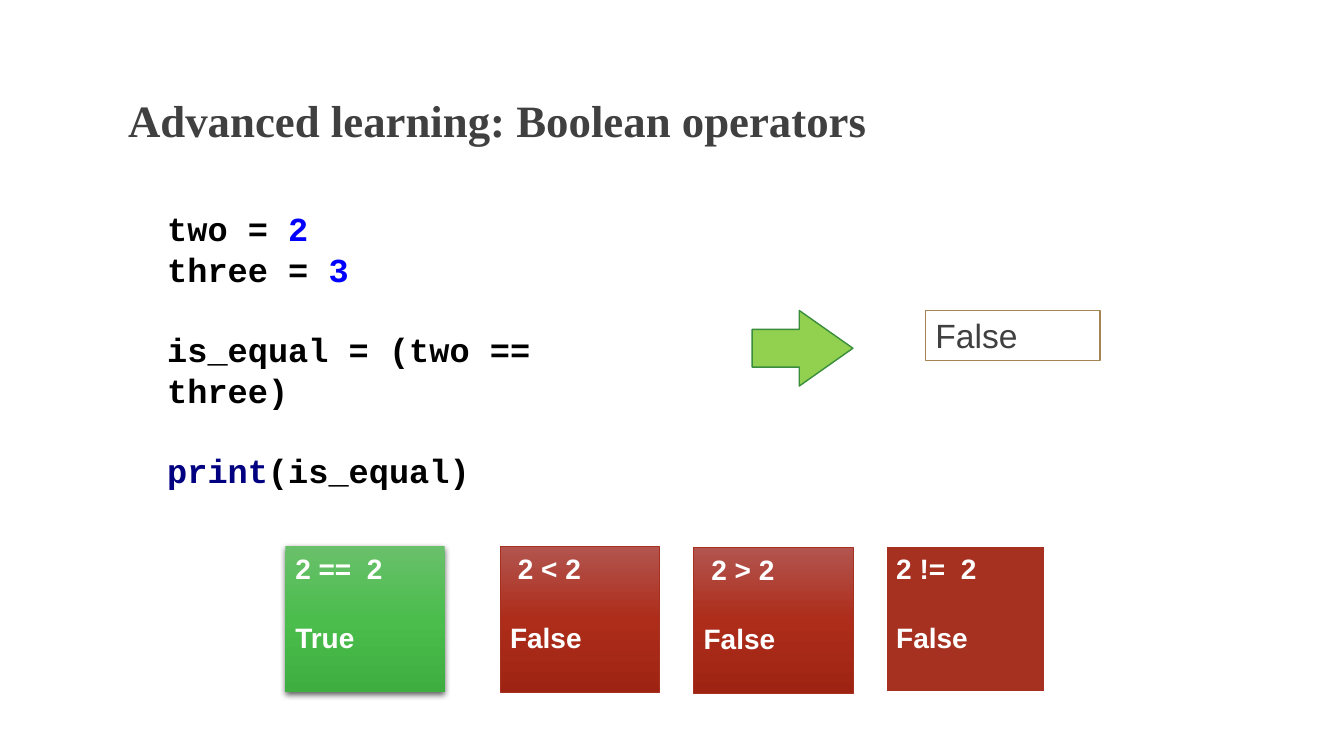
from copy import deepcopy
from pptx import Presentation
from pptx.dml.color import RGBColor
from pptx.enum.shapes import MSO_SHAPE
from pptx.enum.text import MSO_ANCHOR, MSO_AUTO_SIZE, PP_ALIGN
from pptx.oxml import parse_xml
from pptx.oxml.ns import nsdecls
from pptx.util import Inches, Pt

WHITE = RGBColor(0xFF, 0xFF, 0xFF)
BLACK = RGBColor(0x00, 0x00, 0x00)
GRAY = RGBColor(0x40, 0x40, 0x40)
TAN = RGBColor(0xA6, 0x85, 0x55)
LIME = RGBColor(0x92, 0xD0, 0x50)
GREEN = RGBColor(0x39, 0x8D, 0x3B)
RED = RGBColor(0xA6, 0x31, 0x21)
BLUE = RGBColor(0x00, 0x00, 0xFF)
NAVY = RGBColor(0x00, 0x00, 0x80)
GREENS = [RGBColor(0x69, 0xC0, 0x6A), RGBColor(0x4B, 0xBD, 0x4D), RGBColor(0x3D, 0xAE, 0x3F)]
REDS = [RGBColor(0xB2, 0x55, 0x4F), RGBColor(0xAD, 0x2C, 0x1A), RGBColor(0x9F, 0x23, 0x12)]

SHADOW = (
    f'<a:outerShdw {nsdecls("a")} blurRad="57150" dist="19050" dir="5400000" algn="ctr" rotWithShape="0">'
    '<a:srgbClr val="000000"><a:alpha val="63000"/></a:srgbClr></a:outerShdw>'
)


def add_run(p, text, color, **fmt):
    r = p.add_run()
    r.text = text
    r.font.color.rgb = color
    for name, value in fmt.items():
        setattr(r.font, name, value)


def add_box(kind, at, fill, line=None, width=1):
    """Add a shape; a list as fill means evenly spaced gradient stops, top to bottom."""
    sp = slide.shapes.add_shape(kind, *map(Inches, at))
    sp.shadow.inherit = False
    if isinstance(fill, list):
        sp.fill.gradient()
        sp.fill.gradient_angle = 270
        first = sp.fill._fill._gradFill.gsLst[0]
        first.addnext(deepcopy(first))
        for i, (stop, color) in enumerate(zip(sp.fill.gradient_stops, fill)):
            stop.position = i / 2
            stop.color.rgb = color
    else:
        sp.fill.solid()
        sp.fill.fore_color.rgb = fill
    if line is None:
        sp.line.fill.background()
    else:
        sp.line.color.rgb = line
        sp.line.width = Pt(width)
    sp.text_frame.word_wrap = True
    sp.text_frame.vertical_anchor = MSO_ANCHOR.TOP
    sp.text_frame.paragraphs[0].alignment = PP_ALIGN.LEFT
    return sp


prs = Presentation()
prs.slide_width, prs.slide_height = Inches(13.33), Inches(7.5)
slide = prs.slides.add_slide(prs.slide_layouts[5])

title = slide.shapes.title
title.left, title.top, title.width, title.height = map(Inches, (1.17, 0.58, 10.75, 0.93))
tf = title.text_frame
tf.auto_size = MSO_AUTO_SIZE.NONE
tf.vertical_anchor = MSO_ANCHOR.BOTTOM
p = tf.paragraphs[0]
p.alignment = PP_ALIGN.LEFT
p.line_spacing = 0.9
add_run(p, "Advanced learning: Boolean operators", GRAY,
        name="Times New Roman", size=Pt(32), bold=True)

# Code listing: (gap above, coloured parts)
code_lines = [
    (False, [("two = ", BLACK), ("2", BLUE)]),
    (False, [("three = ", BLACK), ("3", BLUE)]),
    (True, [("is_equal = (two == three)", BLACK)]),
    (True, [("print", NAVY), ("(is_equal)", BLACK)]),
]
code = add_box(MSO_SHAPE.RECTANGLE, (1.56, 2, 5.17, 2.93), WHITE)
tf = code.text_frame
tf.vertical_anchor = MSO_ANCHOR.MIDDLE
for i, (gap, parts) in enumerate(code_lines):
    p = tf.add_paragraph() if i else tf.paragraphs[0]
    p.alignment = PP_ALIGN.LEFT
    p.line_spacing = Pt(28.8)
    p.space_before = Pt(28.8 if gap else 0)
    for text, color in parts:
        add_run(p, text, color, name="Courier New", size=Pt(24), bold=True)

arrow = add_box(MSO_SHAPE.RIGHT_ARROW, (7.46, 3.08, 1, 0.75), LIME, GREEN)
arrow.adjustments[1] = 0.71

output = add_box(MSO_SHAPE.RECTANGLE, (9.18, 3.08, 1.73, 0.5), WHITE, TAN)
add_run(output.text_frame.paragraphs[0], "False", GRAY, name="Arial", size=Pt(24))

# Comparison cards: left, top, expression, result, fill, line, line width
cards = [
    (2.83, 5.42, "2 ==  2", "True", GREENS, None, 0),
    (4.96, 5.42, " 2 < 2", "False", REDS, RED, 0.5),
    (6.88, 5.43, " 2 > 2", "False", REDS, RED, 0.5),
    (8.79, 5.42, "2 !=  2", "False", RED, WHITE, 1.5),
]
for left, top, expression, result, fill, line, width in cards:
    card = add_box(MSO_SHAPE.RECTANGLE, (left, top, 1.58, 1.45), fill, line, width)
    if result == "True":
        card._element.spPr.effectLst.append(parse_xml(SHADOW))
    tf = card.text_frame
    answer = tf.add_paragraph()
    answer.alignment = PP_ALIGN.LEFT
    answer.space_before = Pt(25.5)
    for p, text in zip(tf.paragraphs, (expression, result)):
        add_run(p, text, WHITE, name="Arial", size=Pt(20), bold=True)

prs.save("out.pptx")
